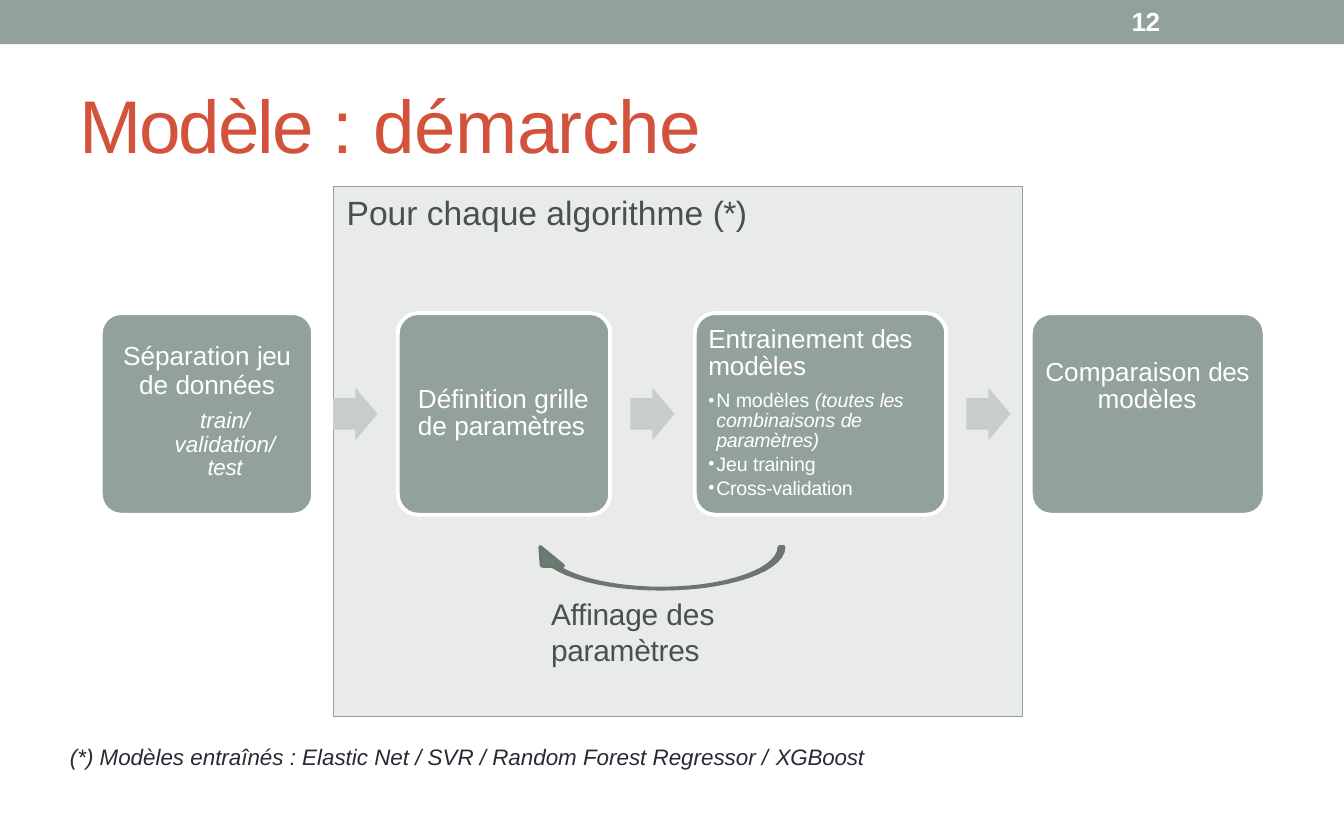
"""Build the slide on the modelling steps as a four-box flow with a tuning loop."""
from math import cos, pi, sin
from lxml.etree import SubElement
from pptx import Presentation
from pptx.dml.color import RGBColor
from pptx.enum.shapes import MSO_SHAPE as Shape
from pptx.enum.text import MSO_ANCHOR as Anchor, MSO_AUTO_SIZE as Auto, PP_ALIGN as Align
from pptx.oxml.ns import qn
from pptx.util import Inches, Pt

WHITE = RGBColor(0xFF, 0xFF, 0xFF)
SAGE = RGBColor(0x92, 0xA1, 0x99)
PALE = RGBColor(0xE9, 0xEB, 0xEB)
MIST = RGBColor(0xC7, 0xCE, 0xC9)
MOSS = RGBColor(0x6B, 0x7C, 0x71)
EDGE = RGBColor(0x6B, 0x76, 0x6E)
PINE = RGBColor(0x46, 0x52, 0x4B)
INK = RGBColor(0x29, 0x29, 0x34)
RUST = RGBColor(0xD2, 0x52, 0x3B)

FONT = "Arial"
BAR = (0, 0, 10, 0.33)
PANEL = (2.48, 1.39, 5.13, 3.94)
START, TOP, HIGH, GAP = 0.75, 2.33, 1.5, 0.63
WIDTHS = [1.58, 1.58, 1.87, 1.74]
ARROW = (0.33, 0.39)


def para(size, *runs, **look):
    return {"size": size, "runs": runs, **look}


TITLE = ((0.59, 0.58, 8.46, 1.06), 0.01, RUST, [
    para(40, ("Modèle ", -1.1), (": ", 0), ("démarche", -0.3), before=1)])
TRAIN = ((5.27, 2.38, 1.54, 1.33), 0.05, WHITE, [
    para(14, ("Entrainement ", 0), ("des ", -0.3), ("modèles", -0.1), before=3.4, line=Pt(14.5)),
    para(10.5, ("N modèles ", 0), ("(toutes ", 0, True), ("les ", -0.3, True),
         ("combinaisons ", 0, True), ("de ", -0.3, True), ("paramètres)", -0.1, True),
         before=5.7, line=0.86, bullet=True),
    para(10.5, ("Jeu ", 0), ("training", -0.1), bullet=True),
    para(10.5, ("Cross-validation", -0.1), before=0.1, bullet=True)])
NOTES = [
    ((8.42, 0.03, 0.3, 0.25), 0.01, WHITE, [
        para(14, ("12", -0.3), before=1.1, bold=True)]),
    ((0.9, 2.53, 1.28, 1.04), 0.01, WHITE, [
        para(14, ("Séparation ", 0), ("jeu", -0.3), before=1.1, line=Pt(15.7), align=Align.CENTER),
        para(14, ("de ", 0), ("données", -0.1), line=Pt(15.7), align=Align.CENTER),
        para(12, ("train/ validation/ ", 0, True), ("test", -0.2, True),
             before=5.6, line=0.86, align=Align.CENTER, left=0.27)]),
    ((3.11, 2.83, 1.29, 0.45), 0.05, WHITE, [
        para(14, ("Définition ", 0), ("grille ", -0.1), ("de ", 0), ("paramètres", -0.1),
             before=3.4, line=Pt(14.5))]),
    ((7.76, 2.63, 1.55, 0.45), 0.05, WHITE, [
        para(14, ("Comparaison ", 0), ("des ", -0.3), ("modèles", 0),
             before=3.3, line=0.86, align=Align.CENTER)]),
    ((4.1, 4.42, 1.55, 0.55), 0.01, PINE, [
        para(16, ("Affinage ", -0.1), ("des ", 0), ("paramètres", -0.1), before=1)]),
    ((2.58, 1.42, 3.1, 0.31), 0.01, PINE, [
        para(18, ("Pour chaque algorithme ", 0), ("(*)", -0.3), before=1)]),
    ((0.52, 5.52, 7.95, 0.21), 0.01, INK, [
        para(12, ("(*) Modèles entraînés : Elastic Net / SVR / Random Forest Regressor / ", 0, True),
             ("XGBoost", -0.1, True), before=1)]),
]


def place(shape, box):
    shape.left, shape.top, shape.width, shape.height = map(Inches, box)


def paint(shape, fill, line=None, width=0):
    shape.shadow.inherit = False
    shape.fill.solid()
    shape.fill.fore_color.rgb = fill
    if line is None:
        shape.line.fill.background()
    else:
        shape.line.color.rgb = line
        shape.line.width = Pt(width)


def draw(slide, kind, box, *look):
    shape = slide.shapes.add_shape(kind, *map(Inches, box))
    paint(shape, *look)
    return shape


def mark(par, left, bullet):
    props = par._p.get_or_add_pPr()
    props.set("marL", str(Inches(0.06 if bullet else left)))
    props.set("indent", str(Inches(-0.06 if bullet else 0)))
    if bullet:
        tint = SubElement(props, qn("a:buClr"))
        SubElement(tint, qn("a:srgbClr")).set("val", str(WHITE))
        SubElement(props, qn("a:buSzPct")).set("val", "90000")
        SubElement(props, qn("a:buChar")).set("char", "•")
    else:
        SubElement(props, qn("a:buNone"))


def write(shape, box, inset, color, paras):
    place(shape, box)
    frame = shape.text_frame
    frame.word_wrap = True
    frame.auto_size = Auto.NONE
    frame.vertical_anchor = Anchor.TOP
    frame.margin_left = frame.margin_right = frame.margin_bottom = 0
    frame.margin_top = Inches(inset)
    for i, item in enumerate(paras):
        par = frame.add_paragraph() if i else frame.paragraphs[0]
        par.alignment = item.get("align", Align.LEFT)
        par.line_spacing = item.get("line", 1.0)
        par.space_before = Pt(item.get("before", 0))
        par.space_after = Pt(0)
        mark(par, item.get("left", 0), item.get("bullet", False))
        for text, gap, *slant in item["runs"]:
            run = par.add_run()
            run.text = text
            font = run.font
            font.name, font.size = FONT, Pt(item["size"])
            font.bold, font.italic = item.get("bold", False), bool(slant)
            font.color.rgb = color
            run._r.get_or_add_rPr().set("spc", str(round(gap * 100)))


def arc(rx, ry, stop, steps=24):
    turns = [stop * i / steps for i in range(steps + 1)]
    return [(4.92 + rx * cos(t), 4.07 + ry * sin(t)) for t in turns]


def loop(slide):
    stop = pi * 0.85
    head = [(4.03, 4.21), (4.02, 4.07), (4.19, 4.21), (4.13, 4.21)]
    dots = arc(0.91, 0.31, stop) + head + arc(0.88, 0.31, stop)[::-1]
    first, *rest = [(Inches(x), Inches(y)) for x, y in dots]
    pen = slide.shapes.build_freeform(*first)
    pen.add_line_segments(rest, close=True)
    paint(pen.convert_to_shape(), MOSS, EDGE, 2.08)


def flow(slide):
    left = START
    for i, wide in enumerate(WIDTHS):
        box = draw(slide, Shape.ROUNDED_RECTANGLE, (left, TOP, wide, HIGH), SAGE, WHITE, 2.08)
        box.adjustments[0] = 0.1
        left += wide
        if i < len(WIDTHS) - 1:
            spot = (left + (GAP - ARROW[0]) / 2, TOP + (HIGH - ARROW[1]) / 2, *ARROW)
            arrow = draw(slide, Shape.RIGHT_ARROW, spot, MIST)
            arrow.adjustments[0], arrow.adjustments[1] = 0.6, 0.5
        left += GAP


def main():
    deck = Presentation()
    deck.slide_width, deck.slide_height = Inches(10), Inches(6.25)
    slide = deck.slides.add_slide(deck.slide_layouts[1])
    title, body = slide.placeholders
    draw(slide, Shape.RECTANGLE, BAR, SAGE)
    draw(slide, Shape.RECTANGLE, PANEL, PALE, SAGE, 0.75)
    flow(slide)
    loop(slide)
    write(title, *TITLE)
    write(body, *TRAIN)
    slide.shapes._spTree.append(body._element)
    for note in NOTES:
        write(slide.shapes.add_textbox(0, 0, 0, 0), *note)
    deck.save("out.pptx")


if __name__ == "__main__":
    main()
